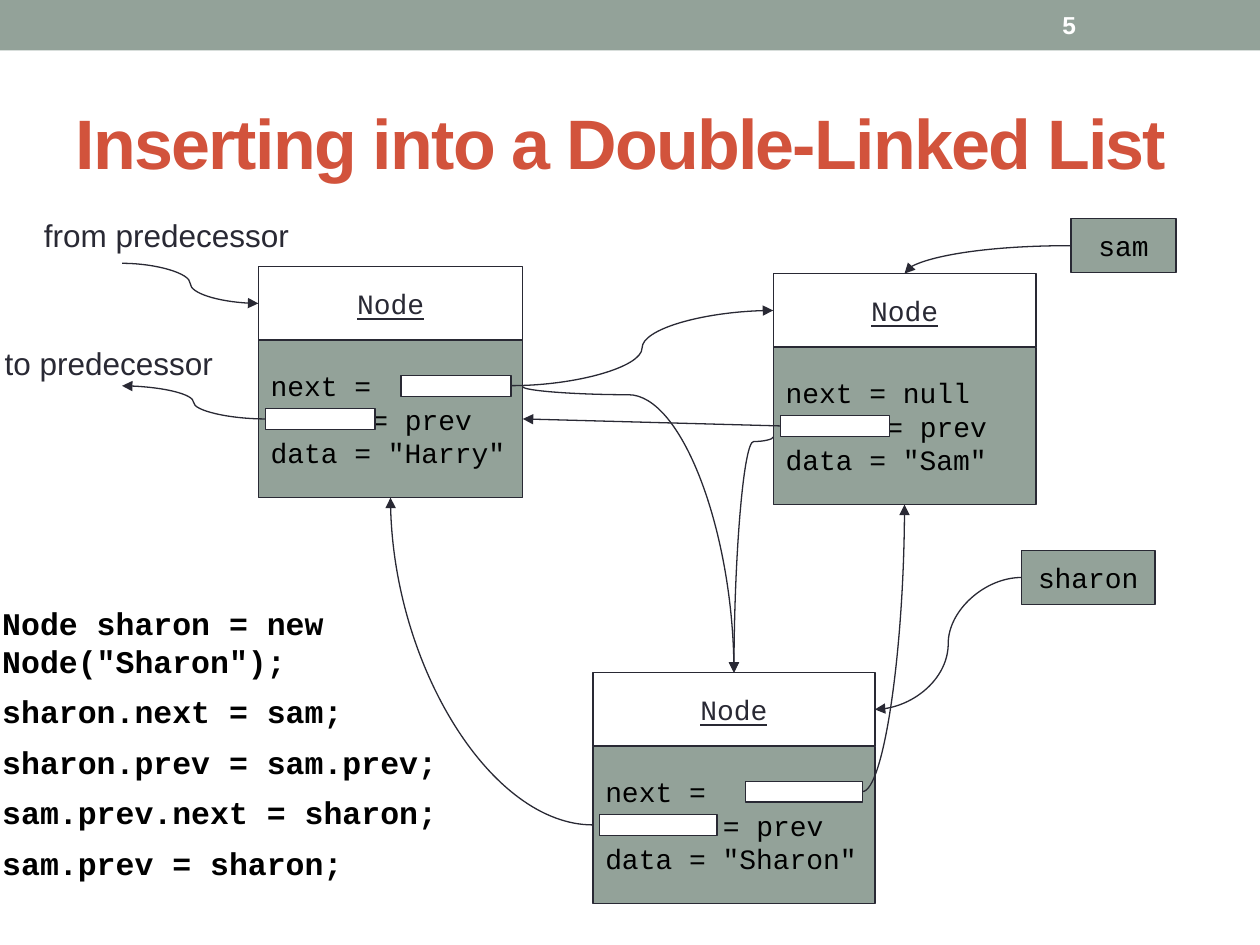
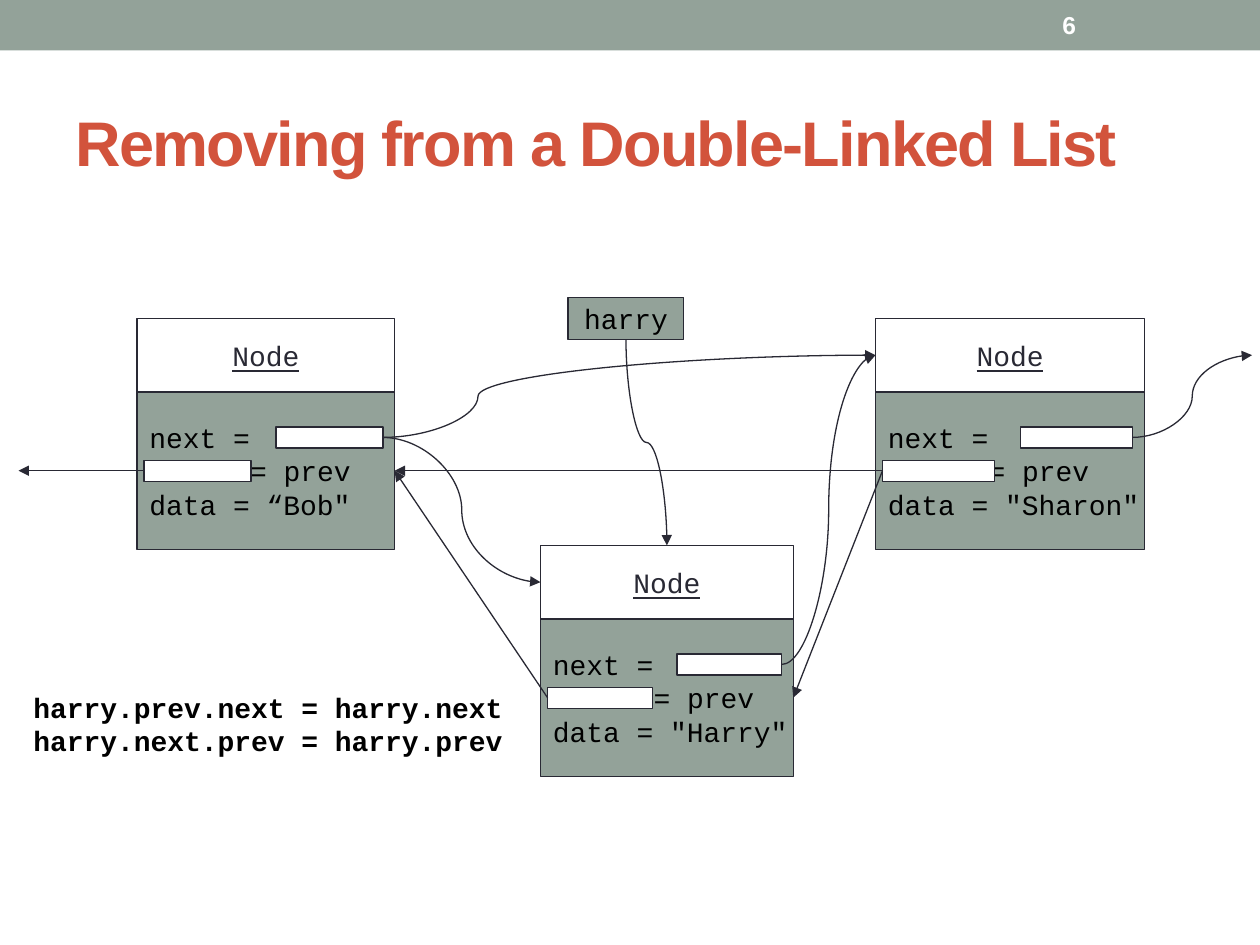
from lxml.etree import SubElement
from pptx import Presentation
from pptx.dml.color import RGBColor
from pptx.enum.shapes import MSO_CONNECTOR as Link, MSO_SHAPE as Preset
from pptx.enum.text import MSO_ANCHOR as Anchor, PP_ALIGN as Align
from pptx.oxml.ns import qn
from pptx.util import Pt

SAGE, INK, RUST, WHITE, BLACK = "93A299", "292934", "D2533C", "FFFFFF", "000000"
SANS, MONO = "Arial", "Courier New"
HEADER_HEIGHT, BODY_HEIGHT = 42, 90
NEXT_MIDDLE, PREV_MIDDLE = 68, 87
SLOT_HEIGHT, SLOT_SHARE, SLOT_START, SLOT_GAP = 12, 0.415, 0.54, 4
CHARACTER_WIDTH = 9.6

SLIDES = [
    {
        "number": "5",
        "title": ("Inserting into a Double-Linked List", 40),
        "nodes": {
            "Harry": (147.6, 152.4, 151.2, ["next =", "= prev", 'data = "Harry"'], 6),
            "Sam": (441.8, 156.4, 150.2, ["next = null", "= prev", 'data = "Sam"'], 6),
            "Sharon": (338.8, 384.4, 161.2, ["next =", "= prev", 'data = "Sharon"'], 7),
        },
        "tags": {"sam": (612, 125, 60, 30.8), "sharon": (583.8, 314.6, 76.2, 30.8)},
        "labels": [("from predecessor", 18, 120.2, 172), ("to predecessor", -4.4, 193, 154)],
        "code": {
            "box": (-5.8, 344.9, 291.6, 159),
            "size": 18,
            "gap": 7.3,
            "lines": [
                'Node sharon = new Node("Sharon");',
                "sharon.next = sam;",
                "sharon.prev = sam.prev;",
                "sam.prev.next = sharon;",
                "sam.prev = sharon;",
            ],
        },
        "arrows": [
            ("Harry.next", "Sam.left", "s", 0.5),
            ("Sam.prev", "Harry.right", "line", None),
            ("Sharon.edge", "Harry.bottom", "quarter", None),
            ("Sharon.next", "Sam.bottom", "quarter", None),
            ((441.8, 249.8), "Sharon.top", "down", 0.019),
            ((298.8, 221), "Sharon.top", "down", 0.028),
            ("Harry.prev", (69.8, 220.5), "s", 0.5),
            ((69.8, 150.5), "Harry.left", "s", 0.5),
            ("sam.left", "Sam.top", "quarter", None),
            ("sharon.left", "Sharon.header", "s", 0.5),
        ],
    },
    {
        "number": "6",
        "title": ("Removing from a Double-Linked List", 36),
        "nodes": {
            "Bob": (78.3, 182, 147.2, ["next =", "= prev", 'data = “Bob"'], 6),
            "Harry": (308.9, 311.7, 144.4, ["next =", "= prev", 'data = "Harry"'], 6),
            "Sharon": (500.3, 182, 153.8, ["next =", "= prev", 'data = "Sharon"'], 6),
        },
        "tags": {"harry": (324.6, 170, 66.2, 24)},
        "labels": [],
        "code": {
            "box": (12, 347.8, 345.6, 131.8),
            "size": 16,
            "gap": 0,
            "lines": ["harry.prev.next = harry.next", "harry.next.prev = harry.prev"],
        },
        "arrows": [
            ("Bob.next", "Harry.left", "s", 0.5),
            ("Harry.next", "Sharon.left", "s", 0.5),
            ("Harry.prev", "Bob.right", "line", None),
            ("Sharon.prev", "Harry.right", "line", None),
            ("harry.bottom", "Harry.top", "down", 0.5),
            ("Sharon.next", (715.5, 203), "s", 0.5),
            ("Bob.prev", (10.6, 269), "line", None),
            ("Bob.next", "Sharon.left", "s", 0.193),
            ("Sharon.prev", "Bob.right", "line", None),
        ],
    },
]


def paint(target, color):
    target.solid()
    target.fore_color.rgb = RGBColor.from_string(color)


def write(shape, lines, font, size, color, bold=False, underline=False,
          align=Align.LEFT, anchor=Anchor.MIDDLE, wrap=False, gap=0):
    frame = shape.text_frame
    frame.word_wrap = wrap
    frame.vertical_anchor = anchor
    for index, line in enumerate(lines):
        para = frame.add_paragraph() if index else frame.paragraphs[0]
        para.alignment = align
        para.space_before = Pt(gap if index else 0)
        span = para.add_run()
        span.text = line
        span.font.name, span.font.size = font, Pt(size)
        span.font.bold, span.font.underline = bold, underline
        paint(span.font.fill, color)
    return frame


def add_box(shapes, bounds, fill=None, outline=True):
    box = shapes.add_shape(Preset.RECTANGLE, *map(Pt, bounds))
    box.shadow.inherit = False
    if fill:
        paint(box.fill, fill)
    else:
        box.fill.background()
    if outline:
        paint(box.line.fill, INK)
        box.line.width = Pt(0.75)
    else:
        box.line.fill.background()
    return box


def add_text(page, bounds, lines, font, size, color, **style):
    box = page.shapes.add_textbox(*map(Pt, bounds))
    write(box, lines, font, size, color, **style)


def add_frame(page, number, title):
    add_box(page.shapes, (0, 0, 720, 28.8), SAGE, outline=False)
    heading = page.shapes.title
    heading.left, heading.top, heading.width, heading.height = map(Pt, (36, 41.8, 648, 77.8))
    text, size = title
    frame = write(heading, [text], SANS, size, RUST, bold=True, wrap=True)
    frame.paragraphs[0].runs[0].font._element.set("spc", "-100")
    add_text(page, (600, 1.4, 84, 26), [number], SANS, 14, WHITE, bold=True, wrap=True)


def add_node(page, x, y, width, fields, prev_indent):
    shapes = page.shapes.add_group_shape().shapes
    body = add_box(shapes, (x, y + HEADER_HEIGHT, width, BODY_HEIGHT), SAGE)
    frame = write(body, fields, MONO, 16, BLACK)
    margin = Pt(prev_indent * CHARACTER_WIDTH)
    frame.paragraphs[1]._p.get_or_add_pPr().set("marL", str(int(margin)))
    header = add_box(shapes, (x, y, width, HEADER_HEIGHT))
    write(header, ["Node"], MONO, 16, INK, underline=True, align=Align.CENTER)

    slot_width = width * SLOT_SHARE
    next_left = x + width * SLOT_START
    slots = [(x + SLOT_GAP, PREV_MIDDLE)]
    if fields[0] == "next =":
        slots.append((next_left, NEXT_MIDDLE))
    for left, middle in slots:
        add_box(shapes, (left, y + middle - SLOT_HEIGHT / 2, slot_width, SLOT_HEIGHT), WHITE)
    return {
        "left": (x, y + HEADER_HEIGHT / 2),
        "header": (x + width, y + HEADER_HEIGHT / 2),
        "top": (x + width / 2, y),
        "bottom": (x + width / 2, y + HEADER_HEIGHT + BODY_HEIGHT),
        "next": (next_left + slot_width, y + NEXT_MIDDLE),
        "prev": (x + SLOT_GAP, y + PREV_MIDDLE),
        "edge": (x, y + PREV_MIDDLE),
        "right": (x + width, y + PREV_MIDDLE),
    }


def add_tag(page, name, x, y, width, height):
    box = add_box(page.shapes, (x, y, width, height), SAGE)
    write(box, [name], MONO, 16, BLACK, align=Align.CENTER)
    return {"left": (x, y + height / 2), "bottom": (x + width / 2, y + height)}


def add_arrow(page, start, end, route, bend):
    (x1, y1), (x2, y2) = start, end
    if route == "down":
        middle_x, middle_y = (x1 + x2) / 2, (y1 + y2) / 2
        half_x, half_y = (x2 - x1) / 2, (y2 - y1) / 2
        x1, y1 = middle_x - half_y, middle_y + half_x
        x2, y2 = middle_x + half_y, middle_y - half_x
    kind = Link.STRAIGHT if route == "line" else Link.CURVE
    arrow = page.shapes.add_connector(kind, *map(Pt, (x1, y1, x2, y2)))
    paint(arrow.line.fill, INK)
    arrow.line.width = Pt(0.75)
    properties = arrow.element.spPr
    SubElement(properties.find(qn("a:ln")), qn("a:tailEnd"), type="triangle")
    SubElement(properties, qn("a:effectLst"))
    geometry = properties.find(qn("a:prstGeom"))
    if route == "down":
        properties.find(qn("a:xfrm")).set("rot", "5400000")
    if route == "quarter":
        geometry.set("prst", "curvedConnector2")
    if bend is not None:
        SubElement(geometry.find(qn("a:avLst")), qn("a:gd"),
                   name="adj1", fmla=f"val {round(bend * 100000)}")


def build_page(deck, content):
    page = deck.slides.add_slide(deck.slide_layouts[5])
    add_frame(page, content["number"], content["title"])
    anchors = {name: add_node(page, *node) for name, node in content["nodes"].items()}
    for name, bounds in content["tags"].items():
        anchors[name] = add_tag(page, name, *bounds)
    for text, x, y, width in content["labels"]:
        add_text(page, (x, y, width, 28.8), [text], SANS, 18, INK, anchor=Anchor.TOP, wrap=True)
    code = content["code"]
    add_text(page, code["box"], code["lines"], MONO, code["size"], BLACK,
             bold=True, gap=code["gap"])

    def locate(place):
        if isinstance(place, tuple):
            return place
        owner, side = place.split(".")
        return anchors[owner][side]

    for start, end, route, bend in content["arrows"]:
        add_arrow(page, locate(start), locate(end), route, bend)


def main():
    deck = Presentation()
    deck.slide_width, deck.slide_height = Pt(720), Pt(540)
    for content in SLIDES:
        build_page(deck, content)
    deck.save("out.pptx")


if __name__ == "__main__":
    main()
